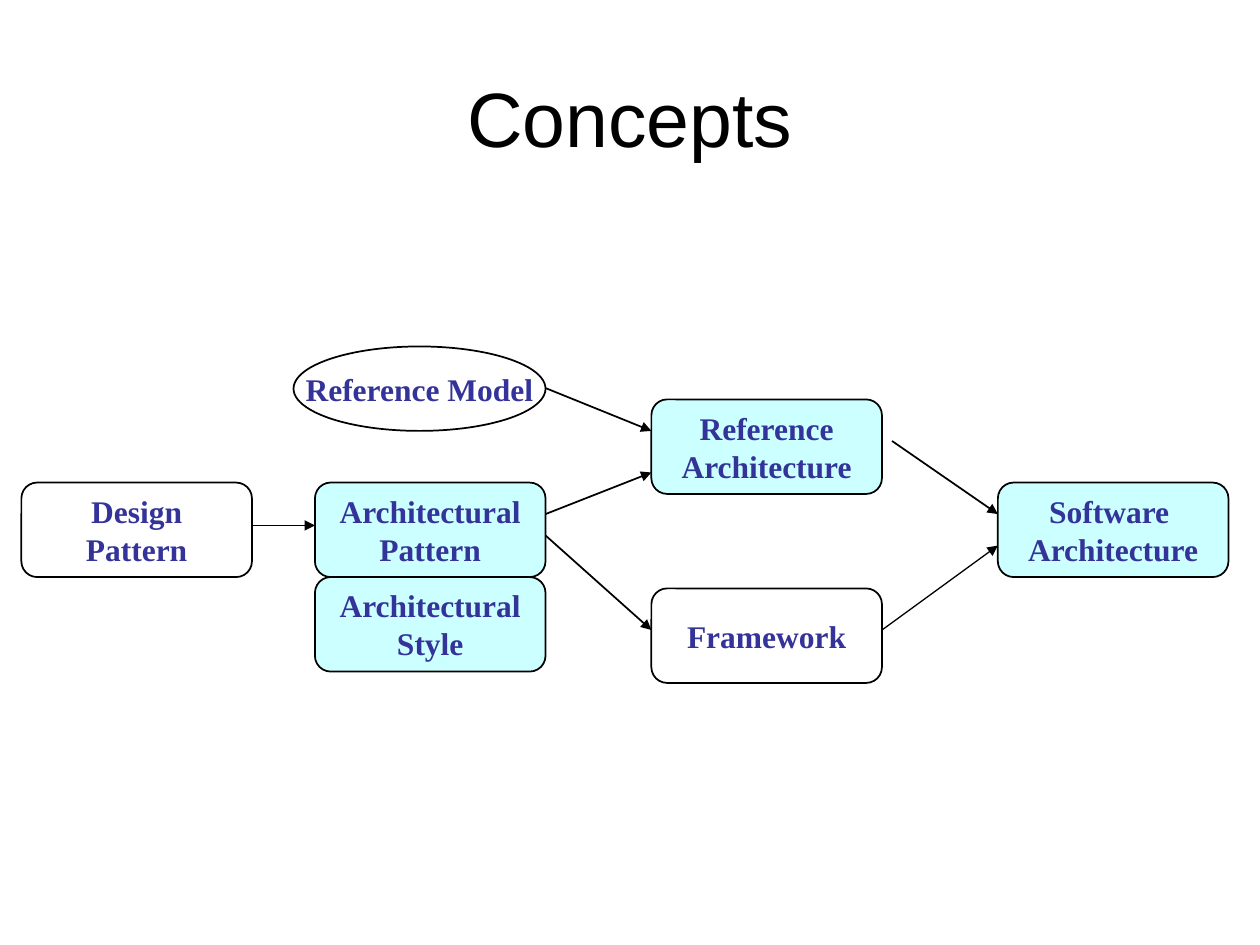
"""Build a slide that relates architecture concepts."""
from lxml import etree
from pptx import Presentation
from pptx import util as u
from pptx.dml.color import RGBColor
from pptx.enum import shapes, text
from pptx.oxml import ns

BLACK, NAVY, CYAN = "000000", "333399", "CCFFFF"
WIDE, HIGH = 1.83, 0.75
OVAL, ROUND = shapes.MSO_SHAPE.OVAL, shapes.MSO_SHAPE.ROUNDED_RECTANGLE

NODES = [
    ("Architectural\nPattern", 2.5, 3.83, CYAN),
    ("Reference\nArchitecture", 5.17, 3.17, CYAN),
    ("Software \nArchitecture", 7.92, 3.83, CYAN),
    ("Framework", 5.17, 4.67, None),
    ("Architectural\nStyle", 2.5, 4.58, CYAN),
    ("Design\nPattern", 0.17, 3.83, None),
]
ARROWS = [
    ((4.33, 3.08), (5.17, 3.42), 1),
    ((4.33, 4.08), (5.17, 3.75), 1),
    ((7.08, 3.5), (7.92, 4.08), 1),
    ((7, 5), (7.92, 4.33), 0.75),
    ((4.33, 4.25), (5.17, 5), 1),
    ((2, 4.17), (2.5, 4.17), 0.75),
]


def paint(target, color):
    """Give a fill, line or font color from a hex string."""
    target.rgb = RGBColor.from_string(color)


def write(frame, words, size, face, color, bold=False, wrap=False):
    """Write one centred paragraph into a text frame."""
    frame.word_wrap = wrap
    frame.vertical_anchor = text.MSO_ANCHOR.MIDDLE
    para = frame.paragraphs[0]
    para.text = words
    para.alignment = text.PP_ALIGN.CENTER
    font = para.font
    font.size, font.name, font.bold = u.Pt(size), face, bold
    paint(font.color, color)


def title(slide, words):
    """Add the slide title."""
    box = slide.shapes.add_textbox(*map(u.Inches, (0.5, 0.3, 9, 1.25)))
    write(box.text_frame, words, 44, "Arial", BLACK, wrap=True)


def node(slide, words, left, top, fill=None, kind=ROUND, wide=WIDE, high=HIGH):
    """Add an outlined concept with its label."""
    shape = slide.shapes.add_shape(kind, *map(u.Inches, (left, top, wide, high)))
    shape.shadow.inherit = False
    if fill:
        shape.fill.solid()
        paint(shape.fill.fore_color, fill)
    else:
        shape.fill.background()
    paint(shape.line.color, BLACK)
    shape.line.width = u.Pt(1)
    write(shape.text_frame, words, 18, "Times New Roman", NAVY, bold=True)


def arrow(slide, start, end, width):
    """Add a straight arrow between two points."""
    line = slide.shapes.add_connector(
        shapes.MSO_CONNECTOR.STRAIGHT, *map(u.Inches, start + end))
    paint(line.line.color, BLACK)
    line.line.width = u.Pt(width)
    props = line.element.spPr
    etree.SubElement(props.find(ns.qn("a:ln")), ns.qn("a:tailEnd"), type="triangle")
    etree.SubElement(props, ns.qn("a:effectLst"))


def main():
    """Build and save the slide."""
    deck = Presentation()
    deck.slide_width, deck.slide_height = u.Inches(10), u.Inches(7.5)
    slide = deck.slides.add_slide(deck.slide_layouts[6])
    title(slide, "Concepts")
    node(slide, "Reference Model", 2.33, 2.75, kind=OVAL, wide=2, high=0.67)
    for item in NODES:
        node(slide, *item)
    for item in ARROWS:
        arrow(slide, *item)
    deck.save("out.pptx")


if __name__ == "__main__":
    main()
